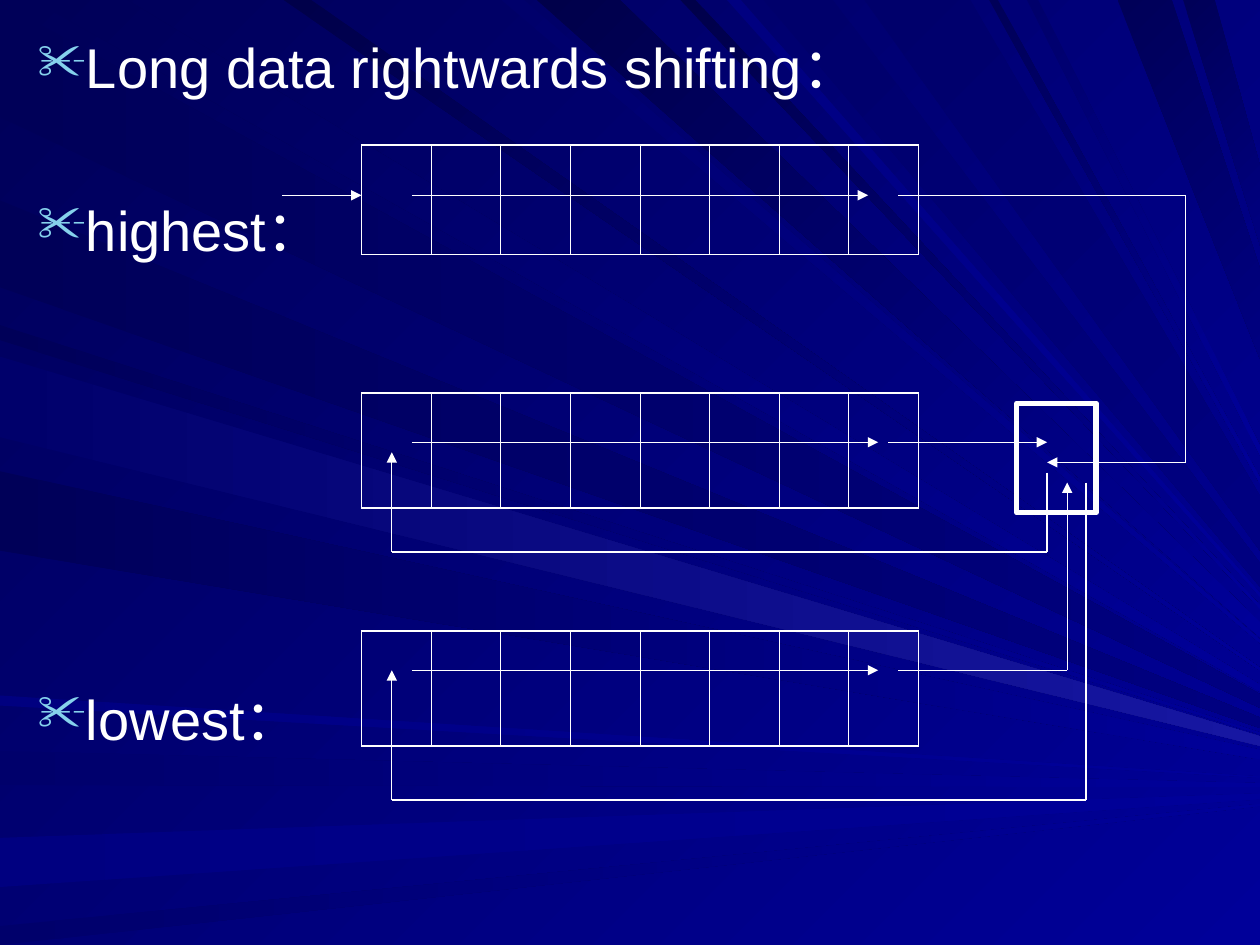
"""Build the slide on shifting long data rightwards."""
from itertools import pairwise

from lxml.etree import SubElement
from pptx import Presentation
from pptx.dml.color import RGBColor
from pptx.enum.shapes import MSO_CONNECTOR, MSO_SHAPE
from pptx.oxml.ns import qn
from pptx.util import Inches, Pt

WHITE = RGBColor(0xFF, 0xFF, 0xFF)
BULLET = RGBColor(0x86, 0xD1, 0xEC)
INK = RGBColor(0, 0, 0x4A)
MIDNIGHT = RGBColor(0, 0, 0x58)
DUSK = RGBColor(0, 0, 0x6B)
NAVY = RGBColor(0, 0, 0x80)
ROYAL = RGBColor(0, 0, 0x99)
GLOW = RGBColor(0x17, 0x17, 0xA2)

WIDTH, HEIGHT = 10, 7.5
FOCUS_X, FOCUS_Y = 11.35, 6.25
LEFT_RAYS = [
    (0.02, 0.93, MIDNIGHT, NAVY),
    (5.96, 6.23, DUSK, ROYAL),
    (6.65, 7.04, NAVY, ROYAL),
    (7.35, 7.5, DUSK, ROYAL),
    (2.58, 2.7, MIDNIGHT, ROYAL),
    (1.59, 2.28, MIDNIGHT, NAVY),
    (3.74, 4.37, MIDNIGHT, ROYAL),
    (5.52, 5.6, NAVY, ROYAL),
    (2.83, 3.47, DUSK, GLOW),
]
TOP_RAYS = [
    (0.26, 1.01, MIDNIGHT, ROYAL),
    (2.25, 2.47, INK, ROYAL),
    (3.98, 4.16, DUSK, ROYAL),
    (4.26, 4.92, INK, ROYAL),
    (5.4, 5.52, INK, ROYAL),
    (5.77, 5.88, NAVY, ROYAL),
    (6.06, 6.61, DUSK, NAVY),
    (6.86, 7.7, DUSK, NAVY),
    (7.85, 7.92, MIDNIGHT, ROYAL),
    (8.15, 8.24, DUSK, ROYAL),
    (8.87, 9.3, MIDNIGHT, NAVY),
    (9.39, 9.64, MIDNIGHT, NAVY),
]

BITS = 8
THIN, THICK = 0.45, 1.08
REGISTERS = [(1.15, 0.87), (3.12, 0.91), (5.01, 0.91)]
LINES = [("Long data rightwards shifting：", 0), ("highest：", 54.5), ("lowest：", 241)]
HIGH, MIDDLE, LOW = 1.55, 3.51, 5.32
FIRST_BIT, SECOND_BIT, LAST_BIT, EXIT = 3.11, 3.27, 6.97, 7.13
CARRY, CARRY_IN, CARRY_OUT, FAR = 8.31, 8.47, 8.62, 9.41
ROUTES = [
    [(2.24, HIGH), (2.87, HIGH)],
    [(SECOND_BIT, HIGH), (6.89, HIGH)],
    [(EXIT, HIGH), (FAR, HIGH), (FAR, 3.67), (CARRY, 3.67)],
    [(CARRY, 3.75), (CARRY, 4.38), (FIRST_BIT, 4.38), (FIRST_BIT, 3.59)],
    [(SECOND_BIT, MIDDLE), (LAST_BIT, MIDDLE)],
    [(7.05, MIDDLE), (CARRY, MIDDLE)],
    [(CARRY_OUT, 3.83), (CARRY_OUT, 6.35), (FIRST_BIT, 6.35), (FIRST_BIT, LOW)],
    [(SECOND_BIT, LOW), (LAST_BIT, LOW)],
    [(EXIT, LOW), (CARRY_IN, LOW), (CARRY_IN, 3.83)],
]


def paint(fill, start, end, angle):
    """Fill with a gradient turned clockwise by angle."""
    fill.gradient()
    fill.gradient_angle = (360 - angle) % 360
    for stop, color in zip(fill.gradient_stops, (start, end)):
        stop.color.rgb = color


def at_right_edge(x, y):
    """Return where the line from a point to the focus leaves the slide."""
    return WIDTH, y + (WIDTH - x) * (FOCUS_Y - y) / (FOCUS_X - x)


def add_ray(slide, first, second, start, end, angle):
    """Draw a ray from two edge points towards the focus."""
    points = [first, at_right_edge(*first), at_right_edge(*second), second]
    corners = [(Inches(x), Inches(y)) for x, y in points]
    builder = slide.shapes.build_freeform(*corners[0])
    builder.add_line_segments(corners[1:], close=True)
    ray = builder.convert_to_shape()
    ray.shadow.inherit = False
    ray.line.fill.background()
    paint(ray.fill, start, end, angle)


def add_color(parent, color):
    """Add an RGB colour element to parent."""
    SubElement(parent, qn("a:srgbClr"), val=str(color))


def set_borders(cell, widths):
    """Give a cell white borders from a mapping of side to points."""
    properties = cell._tc.get_or_add_tcPr()
    for side, width in widths.items():
        border = SubElement(properties, qn(f"a:ln{side}"), w=str(Pt(width)))
        add_color(SubElement(border, qn("a:solidFill")), WHITE)


def add_register(slide, top, height):
    """Add a one-row table of empty bit cells."""
    frame = slide.shapes.add_table(1, BITS, Inches(2.87), Inches(top), Inches(4.42), Inches(height))
    table = frame.table
    table.first_row = table.horz_banding = False
    for index, cell in enumerate(table.rows[0].cells):
        left = THICK if index == 0 else THIN
        right = THICK if index == BITS - 1 else THIN
        set_borders(cell, {"L": left, "R": right, "T": THICK, "B": THICK})
        cell.fill.background()


def add_bullet(para):
    """Give a paragraph a hanging scissors bullet."""
    properties = para._p.get_or_add_pPr()
    properties.set("marL", str(Inches(0.38)))
    properties.set("indent", str(-Inches(0.38)))
    add_color(SubElement(properties, qn("a:buClr")), BULLET)
    SubElement(properties, qn("a:buSzPct"), val="90000")
    SubElement(properties, qn("a:buChar"), char="✂")


def add_labels(slide):
    """Add the heading and the register labels as one bulleted list."""
    box = slide.shapes.add_textbox(Inches(0.2), Inches(0.21), Inches(9.61), Inches(7.09))
    box.text_frame.word_wrap = True
    for index, (text, gap) in enumerate(LINES):
        para = box.text_frame.add_paragraph() if index else box.text_frame.paragraphs[0]
        para.text = text
        add_bullet(para)
        para.space_before = Pt(gap)
        para.font.name = "Arial"
        para.font.size = Pt(32)
        para.font.color.rgb = WHITE


def add_carry(slide):
    """Add the heavy outlined carry box."""
    carry = slide.shapes.add_shape(MSO_SHAPE.RECTANGLE, Inches(8.07), Inches(3.2), Inches(0.63), Inches(0.87))
    carry.shadow.inherit = False
    carry.fill.background()
    carry.line.color.rgb = WHITE
    carry.line.width = Pt(3)


def add_route(slide, points):
    """Join points with straight lines and end in an arrowhead."""
    for start, end in pairwise(points):
        ends = [Inches(value) for value in (*start, *end)]
        line = slide.shapes.add_connector(MSO_CONNECTOR.STRAIGHT, *ends)
        line.line.color.rgb = WHITE
        line.line.width = Pt(0.75)
        SubElement(line._element.spPr, qn("a:effectLst"))
    SubElement(line.line._get_or_add_ln(), qn("a:tailEnd"), type="triangle")


def main():
    """Build and save the deck."""
    deck = Presentation()
    deck.slide_width, deck.slide_height = Inches(WIDTH), Inches(HEIGHT)
    slide = deck.slides.add_slide(deck.slide_layouts[6])
    paint(slide.background.fill, MIDNIGHT, ROYAL, 45)
    for upper, lower, start, end in LEFT_RAYS:
        add_ray(slide, (0, upper), (0, lower), start, end, 0)
    for left, right, start, end in TOP_RAYS:
        add_ray(slide, (left, 0), (right, 0), start, end, 45)
    for top, height in REGISTERS:
        add_register(slide, top, height)
    add_labels(slide)
    add_carry(slide)
    for route in ROUTES:
        add_route(slide, route)
    deck.save("out.pptx")


if __name__ == "__main__":
    main()
